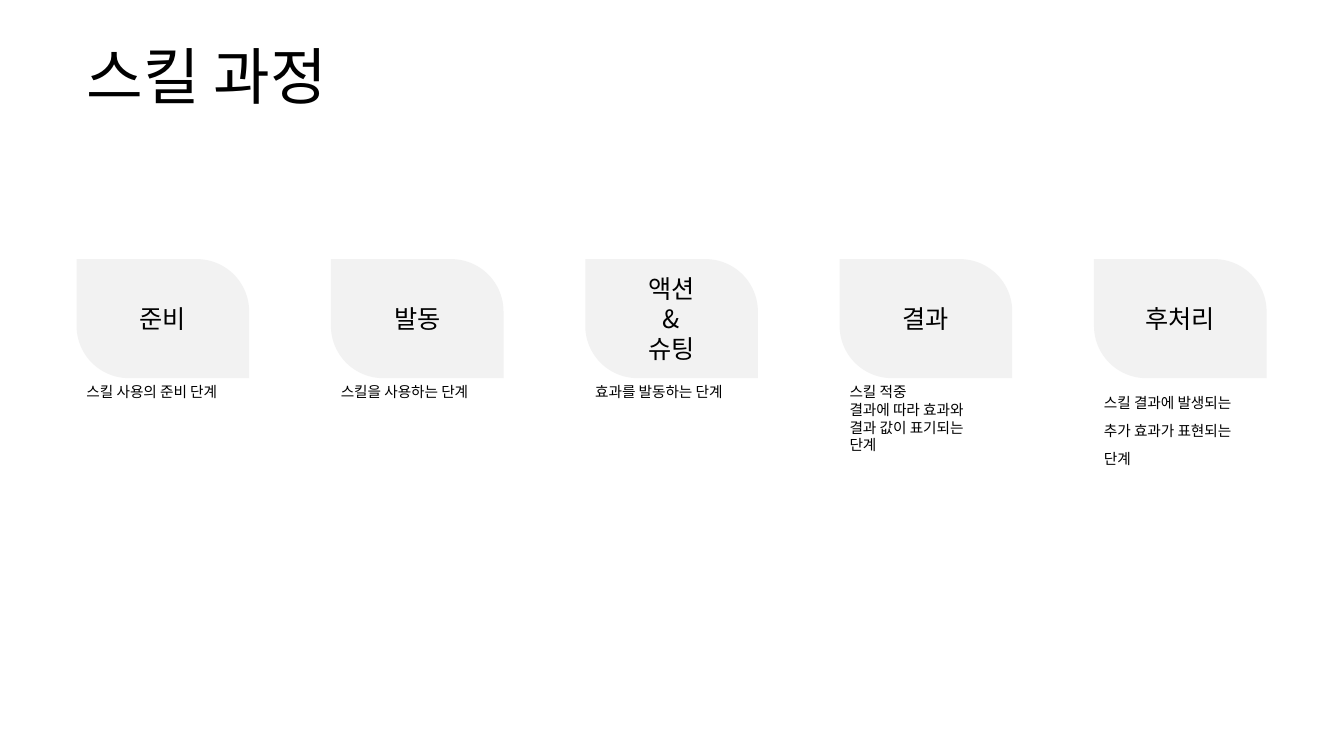
from dataclasses import dataclass

from lxml.etree import SubElement
from pptx import Presentation
from pptx.dml.color import RGBColor
from pptx.enum.shapes import MSO_SHAPE
from pptx.enum.text import MSO_ANCHOR, MSO_AUTO_SIZE, PP_ALIGN
from pptx.oxml.ns import qn
from pptx.util import Cm, Pt


@dataclass(frozen=True)
class Theme:
    font: str = "Noto Sans CJK KR"
    text: RGBColor = RGBColor(0x00, 0x00, 0x00)
    card: RGBColor = RGBColor(0xF2, 0xF2, 0xF2)
    title_size: float = 44
    label_size: float = 18
    caption_size: float = 10.5


theme = Theme()


def write_text(shape, text, size, align=PP_ALIGN.LEFT, anchor=MSO_ANCHOR.TOP,
               line_spacing=None, grow=False):
    """Fill a shape with one paragraph per line of text."""
    frame = shape.text_frame
    frame.word_wrap = True
    frame.vertical_anchor = anchor
    frame.auto_size = MSO_AUTO_SIZE.SHAPE_TO_FIT_TEXT if grow else MSO_AUTO_SIZE.NONE
    frame.text = text
    for paragraph in frame.paragraphs:
        paragraph.alignment = align
        paragraph.line_spacing = line_spacing
        for run in paragraph.runs:
            run.font.name = theme.font
            run.font.size = Pt(size)
            run.font.color.rgb = theme.text
            SubElement(run.font._element, qn("a:ea"), typeface=theme.font)


presentation = Presentation()
presentation.slide_width = Cm(33.87)
presentation.slide_height = Cm(19.05)
slide = presentation.slides.add_slide(presentation.slide_layouts[6])

left = 1.93
title = slide.shapes.add_textbox(Cm(left), Cm(0.81), Cm(30), Cm(2.39))
write_text(title, "스킬 과정", theme.title_size, anchor=MSO_ANCHOR.MIDDLE,
           line_spacing=0.9)

# Label, caption, caption height in cm, caption line spacing
steps = [
    ("준비", "스킬 사용의 준비 단계", 0.73, None),
    ("발동", "스킬을 사용하는 단계", 0.73, None),
    ("액션\n&\n슈팅", "효과를 발동하는 단계", 0.73, None),
    ("결과", "스킬 적중\n결과에 따라 효과와\n결과 값이 표기되는\n단계", 2.06, None),
    ("후처리", "스킬 결과에 발생되는 추가 효과가 표현되는 단계", 2.31, 1.6),
]
step_pitch = 6.41
card_top, card_width, card_height = 6.53, 4.35, 3

for index, (label, caption, caption_height, spacing) in enumerate(steps):
    step_left = Cm(left + index * step_pitch)

    card = slide.shapes.add_shape(MSO_SHAPE.ROUND_2_DIAG_RECTANGLE, step_left,
                                  Cm(card_top), Cm(card_width), Cm(card_height))
    card.adjustments[0] = 0
    card.adjustments[1] = 0.44
    card.shadow.inherit = False
    card.fill.solid()
    card.fill.fore_color.rgb = theme.card
    card.line.fill.background()
    write_text(card, label, theme.label_size, align=PP_ALIGN.CENTER,
               anchor=MSO_ANCHOR.MIDDLE)

    caption_box = slide.shapes.add_textbox(step_left, Cm(card_top + card_height),
                                           Cm(card_width), Cm(caption_height))
    write_text(caption_box, caption, theme.caption_size, line_spacing=spacing,
               grow=True)

presentation.save("out.pptx")
